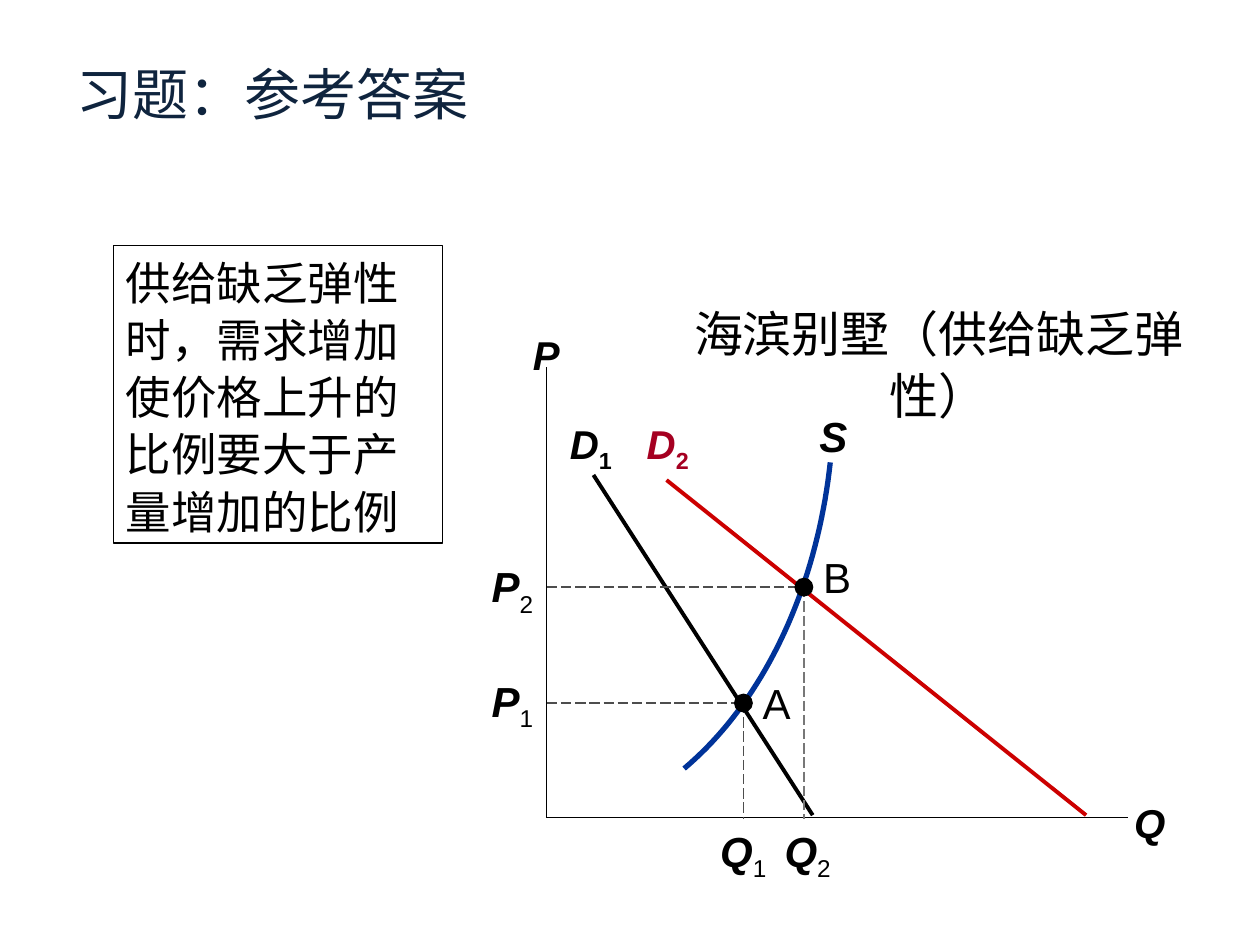
from dataclasses import dataclass

from lxml.etree import SubElement
from pptx import Presentation
from pptx.dml.color import RGBColor
from pptx.enum.dml import MSO_LINE
from pptx.enum.shapes import MSO_CONNECTOR, MSO_SHAPE
from pptx.enum.text import MSO_ANCHOR, PP_ALIGN
from pptx.oxml.ns import qn
from pptx.util import Inches, Pt


@dataclass(frozen=True)
class Theme:
    """Colours, fonts and type sizes of the slide."""
    ink: str = "000000"
    paper: str = "FFFFFF"
    title: str = "0F243E"
    supply: str = "003399"
    demand: str = "CC0000"
    demand_label: str = "A50021"
    guide: str = "4D4D4D"
    pale_guide: str = "777777"
    title_font: str = "Karla"
    label_font: str = "Arial"
    note_font: str = "Noto Sans CJK SC"
    title_size: int = 32
    heading_size: int = 28
    note_size: int = 26
    point_size: int = 24
    axis_size: int = 23
    thin: float = 0.75
    medium: float = 2.25
    thick: float = 3


class DiagramSlide:
    """A slide with a method for each kind of element."""

    def __init__(self, deck, theme):
        self.theme = theme
        self.page = deck.slides.add_slide(deck.slide_layouts[5])
        self.shapes = self.page.shapes

    def place(self, shape, left, top, width, height):
        shape.left, shape.top = Inches(left), Inches(top)
        shape.width, shape.height = Inches(width), Inches(height)

    def style(self, span, size, font, color, bold=False, italic=False):
        span.font.size, span.font.name = Pt(size), font
        span.font.bold, span.font.italic = bold, italic
        span.font.color.rgb = RGBColor.from_string(color)
        SubElement(span.font._element, qn("a:ea"), typeface=font)

    def fill_text(self, shape, text, size, font, color, align=PP_ALIGN.LEFT, spacing=None):
        frame = shape.text_frame
        frame.text = text
        frame.word_wrap = True
        frame.vertical_anchor = MSO_ANCHOR.TOP
        para = frame.paragraphs[0]
        para.alignment, para.line_spacing = align, spacing
        self.style(para.runs[0], size, font, color)

    def title(self, text, *area):
        shape = self.shapes.title
        self.place(shape, *area)
        self.fill_text(shape, text, self.theme.title_size, self.theme.title_font,
                       self.theme.title)

    def heading(self, text, *area):
        box = self.shapes.add_textbox(*map(Inches, area))
        self.fill_text(box, text, self.theme.heading_size, self.theme.label_font,
                       self.theme.ink, PP_ALIGN.CENTER, 1.05)

    def note(self, text, *area):
        box = self.shapes.add_shape(MSO_SHAPE.RECTANGLE, *map(Inches, area))
        box.shadow.inherit = False
        box.fill.solid()
        box.fill.fore_color.rgb = RGBColor.from_string(self.theme.paper)
        self.outline(box.line, self.theme.ink, self.theme.thin)
        self.fill_text(box, text, self.theme.note_size, self.theme.note_font,
                       self.theme.ink, spacing=1.05)

    def label(self, text, left, top, width, size, subscript="", color=None,
              strong=True, strong_subscript=False, align=PP_ALIGN.CENTER):
        color = color or self.theme.ink
        box = self.shapes.add_textbox(*map(Inches, (left, top, width, size / 48)))
        self.fill_text(box, text, size, self.theme.label_font, color, align)
        frame = box.text_frame
        frame.margin_left = Inches(0.02)
        frame.margin_right = Inches(0.1 if align == PP_ALIGN.RIGHT else 0.02)
        para = frame.paragraphs[0]
        para.runs[0].font.bold = para.runs[0].font.italic = strong
        if subscript:
            span = para.add_run()
            span.text = subscript
            self.style(span, size, self.theme.label_font, color, strong_subscript)
            span.font._element.set("baseline", "-25000")

    def outline(self, line, color, width):
        line.color.rgb = RGBColor.from_string(color)
        line.width = Pt(width)

    def line(self, start, end, color, width, dashed=False):
        ends = map(Inches, (*start, *end))
        connector = self.shapes.add_connector(MSO_CONNECTOR.STRAIGHT, *ends)
        self.outline(connector.line, color, width)
        if dashed:
            connector.line.dash_style = MSO_LINE.LONG_DASH
        SubElement(connector._element.spPr, qn("a:effectLst"))

    def curve(self, controls, color, width, steps=40):
        points = []
        for step in range(steps + 1):
            t = step / steps
            weights = ((1 - t) ** 3, 3 * t * (1 - t) ** 2, 3 * t ** 2 * (1 - t), t ** 3)
            points.append(tuple(
                Inches(sum(weight * value for weight, value in zip(weights, axis)))
                for axis in zip(*controls)))
        builder = self.shapes.build_freeform(*points[0])
        builder.add_line_segments(points[1:], close=False)
        shape = builder.convert_to_shape()
        shape.shadow.inherit = False
        shape.fill.background()
        self.outline(shape.line, color, width)

    def dot(self, x, y, size=0.15):
        area = (x - size / 2, y - size / 2, size, size)
        shape = self.shapes.add_shape(MSO_SHAPE.OVAL, *map(Inches, area))
        shape.shadow.inherit = False
        shape.fill.solid()
        shape.fill.fore_color.rgb = RGBColor.from_string(self.theme.ink)
        shape.line.fill.background()

    def equilibrium(self, name, number, x, y, name_top, price_top, quantity_left, drop_color):
        theme, size = self.theme, self.theme.point_size
        self.line((4.34, y), (x, y), theme.guide, theme.thin, dashed=True)
        self.line((x, y), (x, 6.5), drop_color, theme.thin, dashed=True)
        self.label("Q", quantity_left, 6.5, 0.64, size, number)
        self.label("P", 3.66, price_top, 0.67, size, number, align=PP_ALIGN.RIGHT)
        self.label(name, x + 0.05, name_top, 0.43, size, strong=False)
        self.dot(x, y)


def main():
    deck = Presentation()
    deck.slide_width, deck.slide_height = Inches(10), Inches(7.5)
    theme = Theme()
    slide = DiagramSlide(deck, theme)
    origin = (4.34, 6.49)

    slide.title("习题：参考答案", 0.51, 0.42, 8.98, 1.04)
    slide.heading("海滨别墅（供给缺乏弹性）", 5.07, 2.34, 4.76, 1.16)
    for end in ((4.34, 2.91), (8.95, 6.49)):
        slide.line(origin, end, theme.ink, theme.thin)
    slide.label("P", 4.11, 2.57, 0.45, theme.axis_size)
    slide.label("Q", 8.9, 6.29, 0.45, theme.axis_size)

    slide.label("D", 4.36, 3.28, 0.66, theme.axis_size, "1", strong_subscript=True)
    slide.line((4.71, 3.77), (6.45, 6.47), theme.ink, theme.medium)
    slide.curve(((5.43, 6.1), (6.05, 5.58), (6.48, 4.69), (6.59, 3.67)),
                theme.supply, theme.thick)
    slide.label("S", 6.28, 3.21, 0.67, theme.point_size)
    slide.equilibrium("A", "1", 5.9, 5.58, 5.33, 5.31, 5.58, theme.guide)

    slide.note("供给缺乏弹性时，需求增加使价格上升的比例要大于产量增加的比例",
               0.9, 1.95, 2.61, 2.36)
    slide.line((5.29, 3.81), (8.62, 6.47), theme.demand, theme.medium)
    slide.label("D", 4.97, 3.28, 0.66, theme.axis_size, "2", theme.demand_label,
                strong_subscript=True)
    slide.equilibrium("B", "2", 6.38, 4.66, 4.33, 4.4, 6.09, theme.pale_guide)
    deck.save("out.pptx")


if __name__ == "__main__":
    main()
